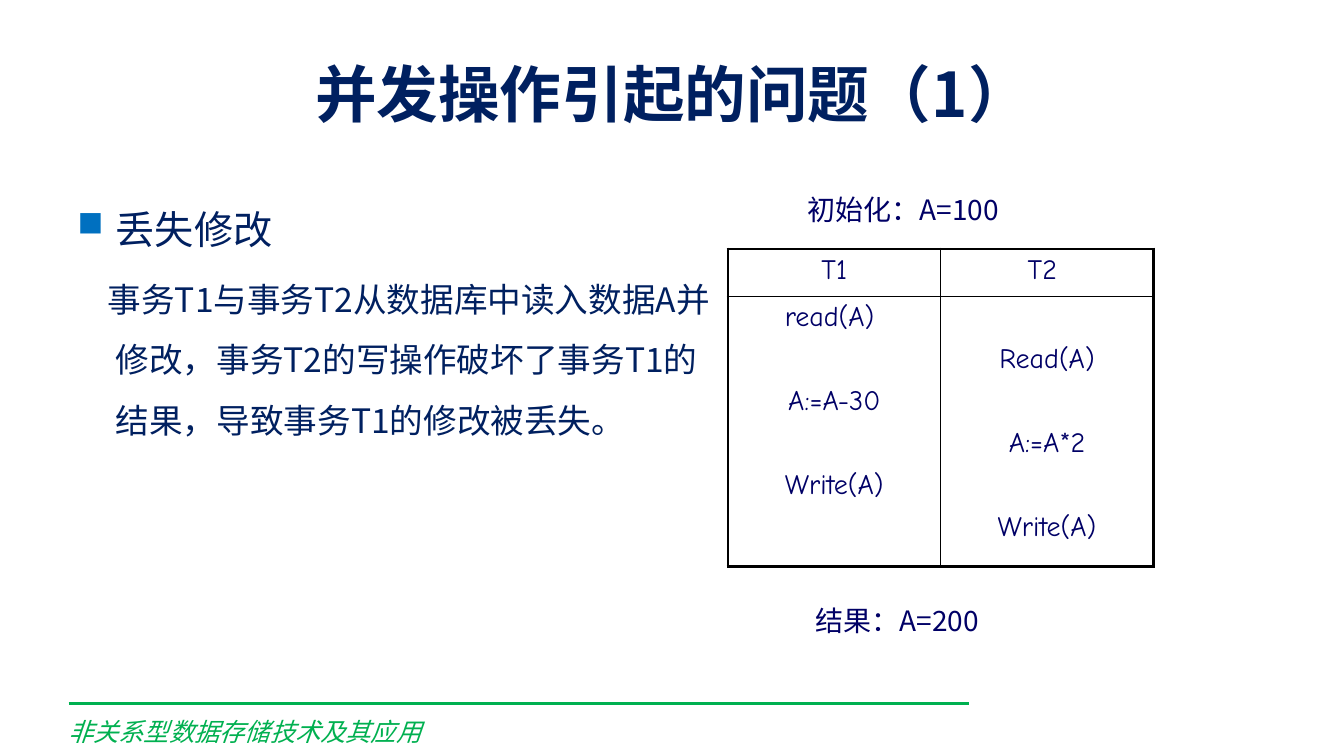
import dataclasses
import typing

import pptx
import pptx.dml.color
import pptx.enum.lang
import pptx.enum.shapes
import pptx.enum.text
import pptx.oxml.ns
import pptx.util
from lxml import etree

EMU_PER_PX = 9144
NAVY = pptx.dml.color.RGBColor(0x00, 0x20, 0x60)
INDIGO = pptx.dml.color.RGBColor(0x00, 0x00, 0x66)
GREEN = pptx.dml.color.RGBColor(0x00, 0xB0, 0x50)
BULLET_BLUE = pptx.dml.color.RGBColor(0x00, 0x70, 0xC0)
BLACK = pptx.dml.color.RGBColor(0x00, 0x00, 0x00)
HAN_FONT = "Noto Sans CJK JP"
TABLE_FONT = "Comic Neue"
ALIGN = pptx.enum.text.PP_ALIGN
ANCHOR = pptx.enum.text.MSO_ANCHOR


@dataclasses.dataclass(frozen=True)
class Line:
    """One paragraph: its text, look and spacing."""
    text: str
    size: int
    color: pptx.dml.color.RGBColor
    font: str = HAN_FONT
    bold: bool = False
    italic: bool = False
    layout: dict[str, typing.Any] = dataclasses.field(default_factory=dict)
    indent: tuple[int, int] | None = None
    bullet: str = ""


@dataclasses.dataclass(frozen=True)
class TextBlock:
    """A text box, placed in px."""
    left: int
    top: int
    width: int
    height: int
    lines: list[Line]
    wrap: bool = True
    anchor: typing.Any = ANCHOR.TOP


@dataclasses.dataclass(frozen=True)
class Cell:
    """A table cell; steps are set at an even distance below each other."""
    row: int
    column: int
    steps: list[str]
    top_inset: int = 5


def px(length: int) -> pptx.util.Emu:
    return pptx.util.Emu(length * EMU_PER_PX)


def set_all(target: typing.Any, values: dict[str, typing.Any]) -> None:
    for name, value in values.items():
        setattr(target, name, value)


def add_child(parent: typing.Any, tag: str, **attributes: str) -> typing.Any:
    child = etree.SubElement(parent, pptx.oxml.ns.qn(tag))
    for name, value in attributes.items():
        child.set(name, value)
    return child


def write_line(para: typing.Any, line: Line) -> None:
    set_all(para, line.layout)
    properties = para._p.get_or_add_pPr()
    if line.indent:
        for name, length in zip(("marL", "indent"), line.indent):
            properties.set(name, str(px(length)))
    if line.bullet:
        color = add_child(properties, "a:buClr")
        add_child(color, "a:srgbClr", val=str(BULLET_BLUE))
        add_child(properties, "a:buSzPct", val="90000")
        add_child(properties, "a:buChar", char=line.bullet)
    span = para.add_run()
    span.text = line.text
    set_all(span.font, {
        "size": pptx.util.Pt(line.size),
        "name": line.font,
        "bold": line.bold,
        "italic": line.italic,
        "language_id": pptx.enum.lang.MSO_LANGUAGE_ID.SIMPLIFIED_CHINESE,
    })
    span.font.color.rgb = line.color
    add_child(span._r.get_or_add_rPr(), "a:ea", typeface=line.font)


def write_lines(frame: typing.Any, lines: list[Line]) -> None:
    for index, line in enumerate(lines):
        para = frame.add_paragraph() if index else frame.paragraphs[0]
        write_line(para, line)


def add_text(page: typing.Any, block: TextBlock) -> None:
    box = page.shapes.add_textbox(
        px(block.left), px(block.top), px(block.width), px(block.height))
    set_all(box.text_frame, {"word_wrap": block.wrap, "vertical_anchor": block.anchor})
    write_lines(box.text_frame, block.lines)


def add_rule(page: typing.Any, left: int, right: int, top: int) -> None:
    rule = page.shapes.add_connector(
        pptx.enum.shapes.MSO_CONNECTOR.STRAIGHT, px(left), px(top), px(right), px(top))
    rule.line.color.rgb = GREEN
    rule.line.width = pptx.util.Pt(2.25)
    add_child(rule._element.spPr, "a:effectLst")


def add_border(cell: typing.Any, side: str, points: float) -> None:
    border = add_child(cell._tc.get_or_add_tcPr(), f"a:ln{side}",
                       w=str(int(pptx.util.Pt(points))))
    add_child(add_child(border, "a:solidFill"), "a:srgbClr", val=str(BLACK))


def add_schedule(page: typing.Any, cells: list[Cell]) -> None:
    row_heights = (47, 268)
    table = page.shapes.add_table(2, 2, px(722), px(247), px(422), px(315)).table
    set_all(table, {"first_row": False, "horz_banding": False})
    for row, height in zip(table.rows, row_heights):
        row.height = px(height)
    for column in table.columns:
        column.width = px(211)
    for entry in cells:
        cell = table.cell(entry.row, entry.column)
        outer = {"L": entry.column == 0, "R": entry.column == 1,
                 "T": entry.row == 0, "B": entry.row == 1}
        for side, is_outer in outer.items():
            add_border(cell, side, 2.25 if is_outer else 1)
        cell.fill.background()
        cell.margin_top = px(entry.top_inset)
        write_lines(cell.text_frame, [
            Line(step, 20, INDIGO, TABLE_FONT, layout={
                "alignment": ALIGN.CENTER,
                "space_before": pptx.util.Pt(37 if index else 0)})
            for index, step in enumerate(entry.steps)])


BODY_LAYOUT = {"line_spacing": 1.5}
TEXT_BLOCKS = [
    # Footer
    TextBlock(58, 706, 724, 40, [
        Line("非关系型数据存储技术及其应用", 18, GREEN, italic=True)]),
    # Title
    TextBlock(67, 30, 1200, 125, [
        Line("并发操作引起的问题（1）", 44, NAVY, bold=True,
             layout={"alignment": ALIGN.CENTER})], anchor=ANCHOR.MIDDLE),
    # Explanation
    TextBlock(67, 175, 647, 495, [
        Line("丢失修改", 28, NAVY, indent=(38, -38), bullet="■",
             layout=BODY_LAYOUT | {"space_before": pptx.util.Pt(5.6)}),
        Line("事务T1与事务T2从数据库中读入数据A并修改，事务T2的写操作破坏了事务T1的结果，"
             "导致事务T1的修改被丢失。", 24, NAVY, indent=(38, -8),
             layout=BODY_LAYOUT | {"space_before": pptx.util.Pt(4.8)})]),
    # Start and end values
    TextBlock(791, 186, 217, 43, [Line("初始化：A=100", 20, INDIGO)], wrap=False),
    TextBlock(799, 594, 194, 43, [Line("结果：A=200", 20, INDIGO)], wrap=False),
]
SCHEDULE = [
    Cell(0, 0, ["T1"]),
    Cell(0, 1, ["T2 "]),
    Cell(1, 0, ["read(A) ", "A:=A-30", "Write(A)"]),
    Cell(1, 1, ["Read(A)", "A:=A*2", "Write(A)"], top_inset=47),
]


def main() -> None:
    deck = pptx.Presentation()
    set_all(deck, {"slide_width": px(1333), "slide_height": px(750)})
    page = deck.slides.add_slide(deck.slide_layouts[6])
    add_rule(page, 68, 961, 698)
    for block in TEXT_BLOCKS:
        add_text(page, block)
    add_schedule(page, SCHEDULE)
    deck.save("out.pptx")


if __name__ == "__main__":
    main()
